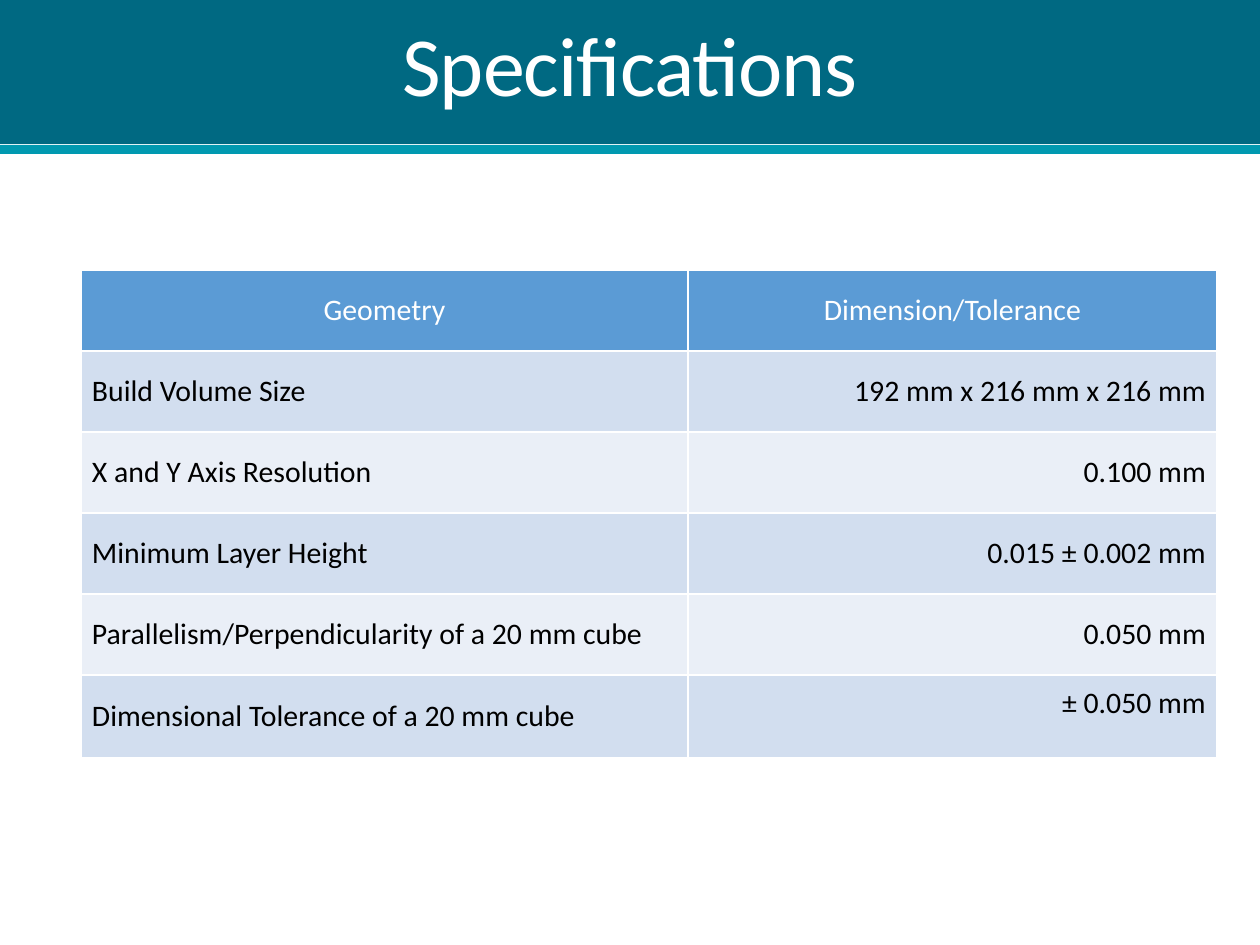
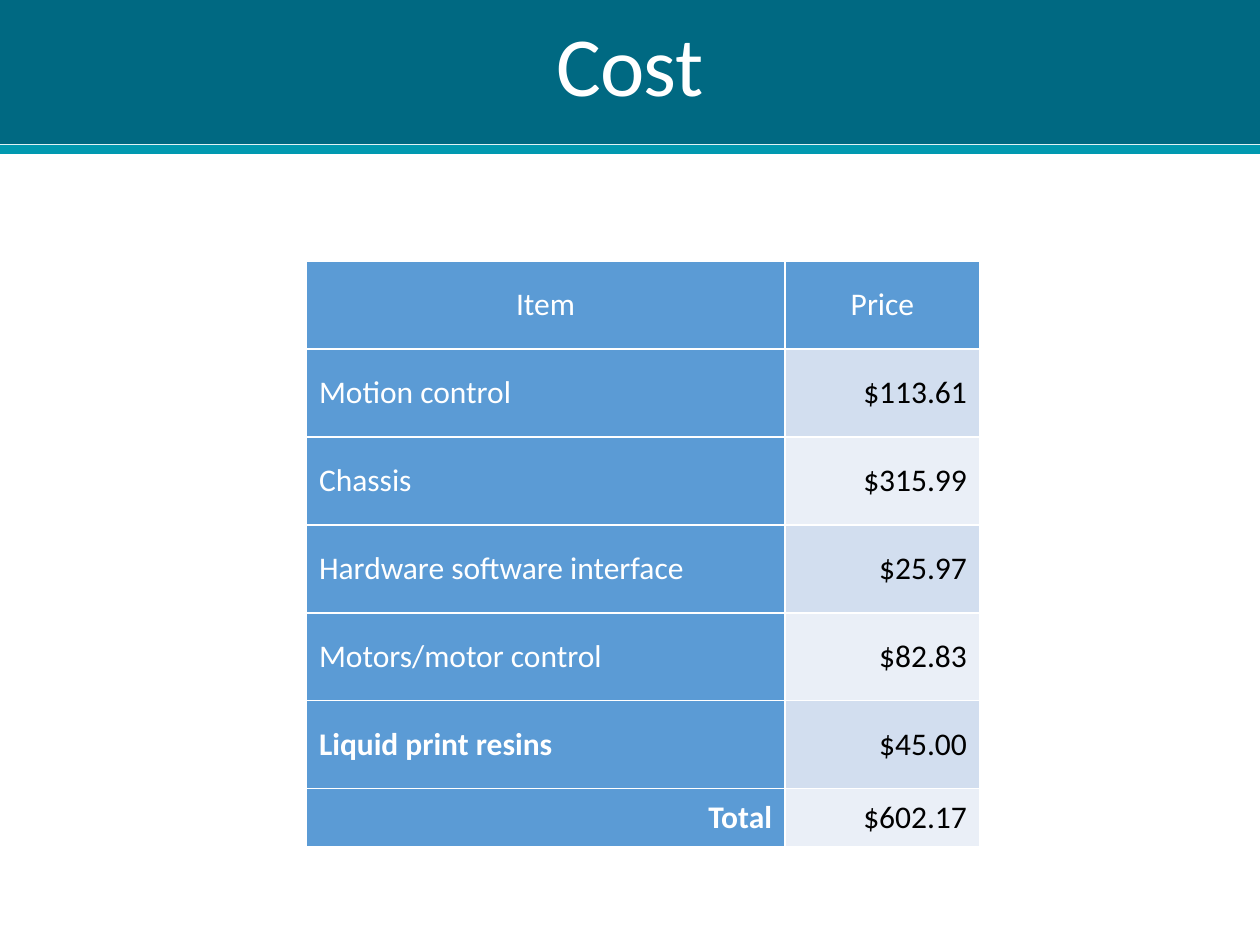
"""Builds the specifications and cost slides of a resin printer project."""
from lxml import etree
from pptx import Presentation
from pptx import util as u
from pptx.dml.color import RGBColor
from pptx.enum import shapes, text
from pptx.oxml import ns

FONT = "Calibri"
WHITE = RGBColor(0xFF, 0xFF, 0xFF)
BLACK = RGBColor(0x00, 0x00, 0x00)
DEEP_TEAL = RGBColor(0x00, 0x69, 0x82)
TEAL = RGBColor(0x00, 0x99, 0xB0)
BLUE = RGBColor(0x5B, 0x9B, 0xD5)
BANDS = (RGBColor(0xD2, 0xDE, 0xEF), RGBColor(0xEA, 0xEF, 0xF7))

WIDTH, HEIGHT = 1260, 945
LEFT, CENTER, RIGHT = text.PP_ALIGN.LEFT, text.PP_ALIGN.CENTER, text.PP_ALIGN.RIGHT
MIDDLE, TOP = text.MSO_ANCHOR.MIDDLE, text.MSO_ANCHOR.TOP

SPECIFICATIONS = [
    ("Geometry", "Dimension/Tolerance"),
    ("Build Volume Size", "192 mm x 216 mm x 216 mm"),
    ("X and Y Axis Resolution", "0.100 mm"),
    ("Minimum Layer Height", "0.015 ± 0.002 mm"),
    ("Parallelism/Perpendicularity of a 20 mm cube", "0.050 mm"),
    ("Dimensional Tolerance of a 20 mm cube", "± 0.050 mm"),
]
COSTS = [
    ("Item", "Price"),
    ("Motion control", "$113.61"),
    ("Chassis", "$315.99"),
    ("Hardware software interface", "$25.97"),
    ("Motors/motor control", "$82.83"),
    ("Liquid print resins", "$45.00"),
    ("Total", "$602.17"),
]


def px(length):
    """Turn pixels into EMU."""
    return u.Emu(round(length * 914400 / 126))


def add_run(paragraph, wording, size, color, bold=False):
    """Add one formatted run to a paragraph."""
    run = paragraph.add_run()
    run.text = wording
    run.font.name = FONT
    run.font.size = u.Pt(size)
    run.font.bold = bold
    run.font.color.rgb = color
    return run


def add_band(slide, top, height, color):
    """Add a full-width band."""
    band = slide.shapes.add_shape(
        shapes.MSO_SHAPE.RECTANGLE, 0, px(top), px(WIDTH), px(height))
    band.shadow.inherit = False
    band.fill.solid()
    band.fill.fore_color.rgb = color
    band.line.fill.background()


def add_titled_slide(deck, title):
    """Add a blank slide with the shared bands and title."""
    slide = deck.slides.add_slide(deck.slide_layouts[6])
    add_band(slide, 0, 144, DEEP_TEAL)
    add_band(slide, 145, 9, TEAL)
    frame = slide.shapes.add_textbox(0, 0, px(WIDTH), px(141)).text_frame
    frame.word_wrap = True
    frame.vertical_anchor = MIDDLE
    heading = frame.paragraphs[0]
    heading.alignment = CENTER
    heading.line_spacing = 0.85
    run = add_run(heading, title, 48, WHITE)
    run.font._element.set("spc", "-50")
    return slide


def add_borders(cell):
    """Give a cell thin white borders."""
    properties = cell._tc.get_or_add_tcPr()
    for side in ("a:lnL", "a:lnR", "a:lnT", "a:lnB"):
        border = etree.SubElement(properties, ns.qn(side), w=str(u.Pt(1)))
        fill = etree.SubElement(border, ns.qn("a:solidFill"))
        etree.SubElement(fill, ns.qn("a:srgbClr"), val=str(WHITE))


def fill_cell(cell, wording, size, align, fill, margin, bold=False):
    """Write and style one table cell."""
    add_borders(cell)
    cell.fill.solid()
    cell.fill.fore_color.rgb = fill
    cell.vertical_anchor = MIDDLE
    cell.margin_left = cell.margin_right = px(margin)
    cell.margin_top = cell.margin_bottom = px(6)
    paragraph = cell.text_frame.paragraphs[0]
    paragraph.alignment = align
    add_run(paragraph, wording, size, WHITE if fill == BLUE else BLACK, bold)


def add_grid(slide, rows, corner, widths, heights, size, margin,
             blue_labels=False, bold_labels=()):
    """Add a two-column table with a blue header and banded rows."""
    left, top = corner
    grid = slide.shapes.add_table(
        len(rows), len(widths), px(left), px(top),
        px(sum(widths)), px(sum(heights))).table
    grid.first_col = blue_labels
    for column, width in zip(grid.columns, widths):
        column.width = px(width)
    for index, ((label, value), height) in enumerate(zip(rows, heights)):
        grid.rows[index].height = px(height)
        header = index == 0
        band = BLUE if header else BANDS[(index - 1) % 2]
        label_align = CENTER if header else RIGHT if label == "Total" else LEFT
        fill_cell(grid.cell(index, 0), label, size, label_align,
                  BLUE if blue_labels else band, margin, label in bold_labels)
        fill_cell(grid.cell(index, 1), value, size,
                  CENTER if header else RIGHT, band, margin)
    return grid


def main():
    """Build and save both slides."""
    deck = Presentation()
    deck.slide_width, deck.slide_height = px(WIDTH), px(HEIGHT)

    specifications = add_titled_slide(deck, "Specifications")
    grid = add_grid(specifications, SPECIFICATIONS, (81, 270), (607, 529),
                    [81] * 5 + [83], 17, 11)
    cube_tolerance = grid.cell(5, 1)
    cube_tolerance.vertical_anchor = TOP
    cube_tolerance.margin_top = px(10)

    cost = add_titled_slide(deck, "Cost")
    add_grid(cost, COSTS, (306, 261), (479, 195), [88] * 6 + [58], 18, 13,
             blue_labels=True, bold_labels=("Liquid print resins", "Total"))

    deck.save("out.pptx")


if __name__ == "__main__":
    main()
